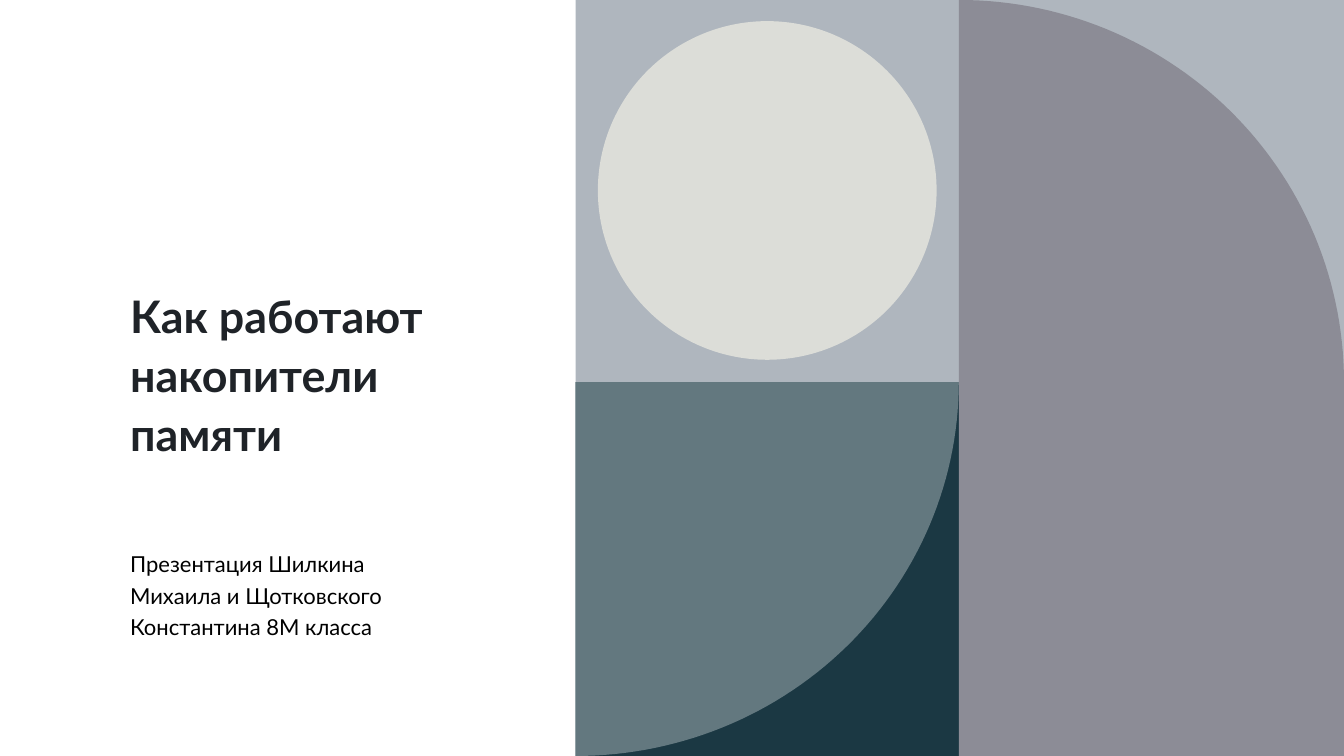
import math

import pptx
import pptx.dml.color
import pptx.enum.shapes
import pptx.enum.text
import pptx.util

Inches = pptx.util.Inches
Shape = pptx.enum.shapes.MSO_SHAPE
Anchor = pptx.enum.text.MSO_ANCHOR

WIDE, HIGH = 13.33, 7.5
LEFT, MID, ROW = 5.71, 9.51, 3.79  # edges of the tile grid


def color(code):
    return pptx.dml.color.RGBColor.from_string(code)


def write(frame, text, font="Lato", size=16, ink="000000", bold=False,
          line=1.0, before=0, anchor=Anchor.TOP):
    frame.word_wrap = True
    frame.auto_size = pptx.enum.text.MSO_AUTO_SIZE.NONE
    frame.vertical_anchor = anchor
    par = frame.paragraphs[0]
    par.alignment = pptx.enum.text.PP_ALIGN.LEFT
    par.line_spacing = line
    par.space_before = pptx.util.Pt(before)
    run = par.add_run()
    run.text = text
    run.font.name = font
    run.font.size = pptx.util.Pt(size)
    run.font.bold = bold
    run.font.color.rgb = color(ink)


def arc(x, y, wide, high, start, end, steps=60):
    """Points on an ellipse around (x, y), angles in degrees."""
    turns = [math.radians(start + (end - start) * i / steps)
             for i in range(steps + 1)]
    return [(x + wide * math.cos(t), y + high * math.sin(t)) for t in turns]


class Page:
    font = "Lato"

    def __init__(self, deck):
        self.slide = deck.slides.add_slide(deck.slide_layouts[0])
        back = self.slide.background.fill
        back.solid()
        back.fore_color.rgb = color("FFFFFF")

    def paint(self, shape, fill):
        shape.shadow.inherit = False
        shape.fill.solid()
        shape.fill.fore_color.rgb = color(fill)
        shape.line.fill.background()

    def block(self, kind, x, y, wide, high, fill):
        box = map(Inches, (x, y, wide, high))
        self.paint(self.slide.shapes.add_shape(kind, *box), fill)

    def curve(self, points, fill):
        dots = [(Inches(x), Inches(y)) for x, y in points]
        form = self.slide.shapes.build_freeform(*dots[0])
        form.add_line_segments(dots[1:], close=True)
        self.paint(form.convert_to_shape(), fill)

    def holder(self, index, x, y, wide, high, text, **style):
        item = self.slide.placeholders[index]
        item.left, item.top = Inches(x), Inches(y)
        item.width, item.height = Inches(wide), Inches(high)
        write(item.text_frame, text, font=self.font, **style)


def main():
    deck = pptx.Presentation()
    deck.slide_width, deck.slide_height = Inches(WIDE), Inches(HIGH)
    page = Page(deck)

    # Title and authors
    page.holder(0, 1.19, 1.75, 3.38, 2.87, "Как работают накопители памяти",
                size=32, ink="1F2328", bold=True, line=1.1,
                anchor=Anchor.BOTTOM)
    page.holder(1, 1.19, 5.36, 3.38, 1.08,
                "Презентация Шилкина Михаила и Щотковского "
                "Константина 8М класса", size=15.7, line=1.2, before=10)

    # Upper band with the circle
    page.block(Shape.RECTANGLE, LEFT, 0, WIDE - LEFT, ROW, "AFB6BE")
    page.block(Shape.OVAL, 5.93, 0.21, 3.36, 3.36, "DCDDD8")

    # Lower tile with the quarter disc
    wide, high = MID - LEFT, HIGH - ROW
    page.block(Shape.RECTANGLE, LEFT, ROW, wide, high, "1B3843")
    page.curve([(LEFT, ROW)] + arc(LEFT, ROW, wide, high, 0, 90), "63787F")

    # Tall arch on the right
    page.curve(arc(MID, ROW, WIDE - MID, ROW, -90, 0)
               + [(WIDE, HIGH), (MID, HIGH)], "8C8C96")

    deck.save("out.pptx")


if __name__ == "__main__":
    main()
